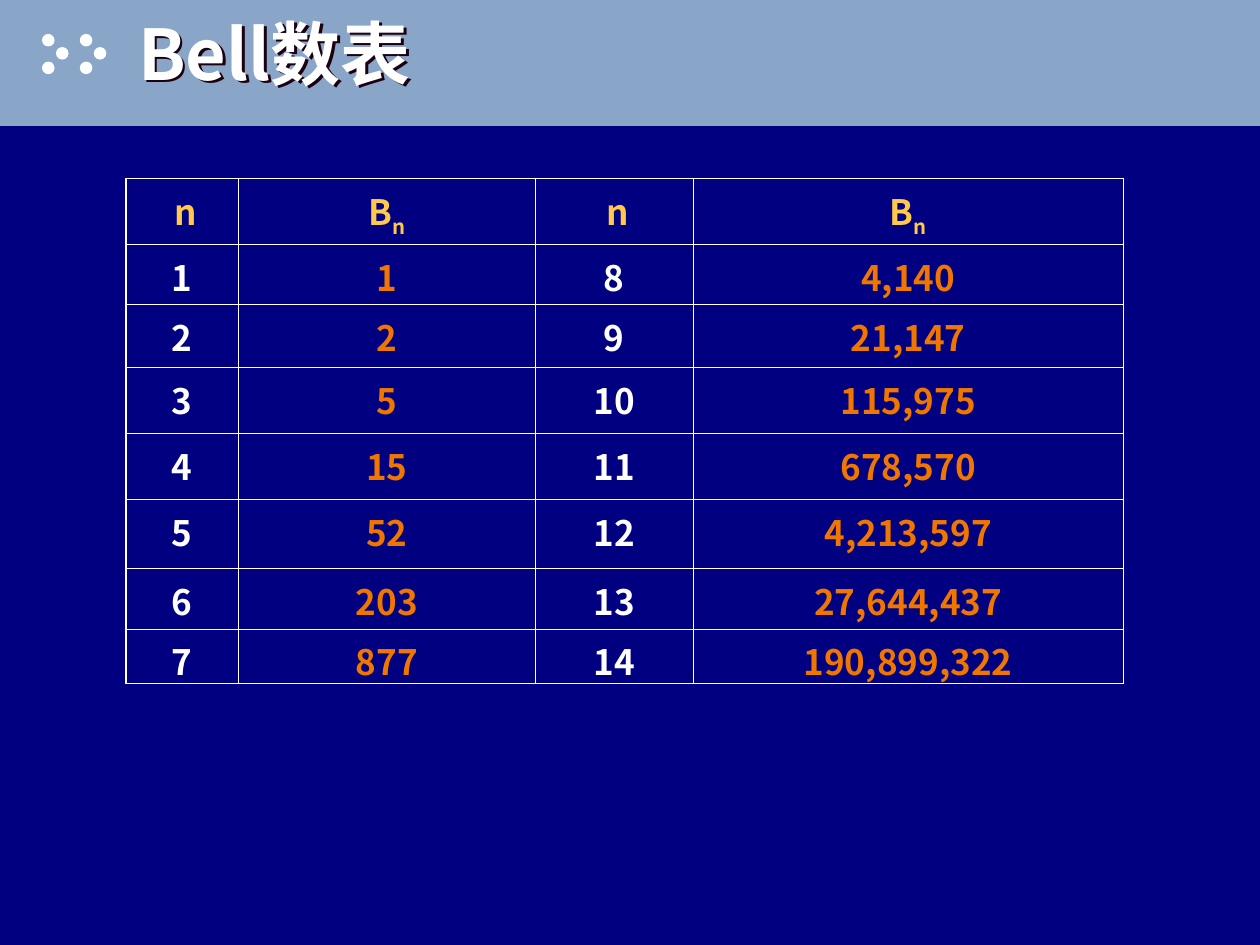
from dataclasses import dataclass

from lxml.etree import SubElement
from pptx import Presentation
from pptx.dml.color import RGBColor
from pptx.enum.shapes import MSO_SHAPE
from pptx.enum.text import MSO_ANCHOR, PP_ALIGN
from pptx.oxml.ns import qn
from pptx.util import Pt


@dataclass(frozen=True)
class Theme:
    font: str = "Noto Sans CJK SC"
    background: str = "000080"
    band: str = "89A5C7"
    white: str = "FFFFFF"
    shadow: str = "1A0010"
    heading: str = "FFC94C"
    bell_number: str = "F07600"
    title_size: float = 40
    table_size: float = 20
    outer_border: float = 1.08
    inner_border: float = 0.45


THEME = Theme()
BELL_NUMBERS = ["1", "2", "5", "15", "52", "203", "877", "4,140", "21,147",
                "115,975", "678,570", "4,213,597", "27,644,437", "190,899,322"]
COLUMN_WIDTHS = [64, 170, 90, 246]
ROW_HEIGHTS = [37.5, 34.5, 36, 37.5, 38, 39.5, 34.5, 31]


def style_run(run, size, color):
    run.font.size = Pt(size)
    run.font.bold = True
    run.font.color.rgb = RGBColor.from_string(color)
    run.font.name = THEME.font
    SubElement(run.font._element, qn("a:ea"), typeface=THEME.font)


def add_filled(shapes, kind, left, top, width, height, color):
    shape = shapes.add_shape(kind, Pt(left), Pt(top), Pt(width), Pt(height))
    shape.shadow.inherit = False
    shape.fill.solid()
    shape.fill.fore_color.rgb = RGBColor.from_string(color)
    shape.line.fill.background()


def add_chevron_dots(slide, left, top):
    """Two chevrons of three dots each."""
    dots = slide.shapes.add_group_shape().shapes
    for chevron_left in (left, left + 21.6):
        for dx, dy in ((0, 0), (8, 7.5), (0, 15.8)):
            add_filled(dots, MSO_SHAPE.OVAL, chevron_left + dx, top + dy,
                       7.2, 7.2, THEME.white)


def cast_text_shadow(box):
    """An unfilled box passes its shadow on to its text."""
    effects = SubElement(box._element.spPr, qn("a:effectLst"))
    shadow = SubElement(effects, qn("a:outerShdw"), dist=str(Pt(2)),
                        dir="2700000", algn="ctr", rotWithShape="0")
    SubElement(shadow, qn("a:srgbClr"), val=THEME.shadow)


def add_title(slide, left, top, width, height):
    box = slide.shapes.add_textbox(Pt(left), Pt(top), Pt(width), Pt(height))
    frame = box.text_frame
    frame.word_wrap = True
    frame.vertical_anchor = MSO_ANCHOR.MIDDLE
    frame.text = "Bell数表"
    style_run(frame.paragraphs[0].runs[0], THEME.title_size, THEME.white)
    cast_text_shadow(box)


def add_header(slide, left, top, width, height):
    add_filled(slide.shapes, MSO_SHAPE.RECTANGLE, left, top, width, height, THEME.band)
    add_chevron_dots(slide, left + 24, top + 19.4)
    add_title(slide, left + 72, top, width - 72, 60)


def set_borders(cell, outer_sides):
    properties = cell._tc.get_or_add_tcPr()
    for side in "LRTB":
        weight = THEME.outer_border if side in outer_sides else THEME.inner_border
        line = SubElement(properties, qn(f"a:ln{side}"), w=str(Pt(weight)))
        fill = SubElement(line, qn("a:solidFill"))
        SubElement(fill, qn("a:srgbClr"), val=THEME.white)


def fill_cell(cell, text, color, subscript=""):
    cell.vertical_anchor = MSO_ANCHOR.TOP
    paragraph = cell.text_frame.paragraphs[0]
    paragraph.text = text
    paragraph.alignment = PP_ALIGN.CENTER
    style_run(paragraph.runs[0], THEME.table_size, color)
    if subscript:
        lowered = paragraph.add_run()
        lowered.text = subscript
        style_run(lowered, THEME.table_size, color)
        lowered.font._element.set("baseline", "-25000")


def add_bell_table(slide, left, top):
    rows, columns = len(ROW_HEIGHTS), len(COLUMN_WIDTHS)
    table = slide.shapes.add_table(rows, columns, Pt(left), Pt(top),
                                   Pt(sum(COLUMN_WIDTHS)), Pt(sum(ROW_HEIGHTS))).table
    table.first_row = table.horz_banding = False
    for column, width in zip(table.columns, COLUMN_WIDTHS):
        column.width = Pt(width)
    for row, height in zip(table.rows, ROW_HEIGHTS):
        row.height = Pt(height)

    for r in range(rows):
        for c in range(columns):
            cell = table.cell(r, c)
            edges = {"L": c == 0, "R": c == columns - 1, "T": r == 0, "B": r == rows - 1}
            set_borders(cell, [side for side, is_outer in edges.items() if is_outer])
            cell.fill.background()

    for c in range(0, columns, 2):
        index_heading = table.cell(0, c)
        fill_cell(index_heading, "n", THEME.heading)
        index_heading.margin_left = Pt(11.7)
        fill_cell(table.cell(0, c + 1), "B", THEME.heading, subscript="n")
    for i, bell_number in enumerate(BELL_NUMBERS):
        half, r = divmod(i, rows - 1)
        fill_cell(table.cell(r + 1, 2 * half), str(i + 1), THEME.white)
        fill_cell(table.cell(r + 1, 2 * half + 1), bell_number, THEME.bell_number)


def main():
    presentation = Presentation()
    presentation.slide_width, presentation.slide_height = Pt(720), Pt(540)
    slide = presentation.slides.add_slide(presentation.slide_layouts[6])
    slide.background.fill.solid()
    slide.background.fill.fore_color.rgb = RGBColor.from_string(THEME.background)
    add_header(slide, 0, 0, 720, 72)
    add_bell_table(slide, 72, 102)
    presentation.save("out.pptx")


if __name__ == "__main__":
    main()
